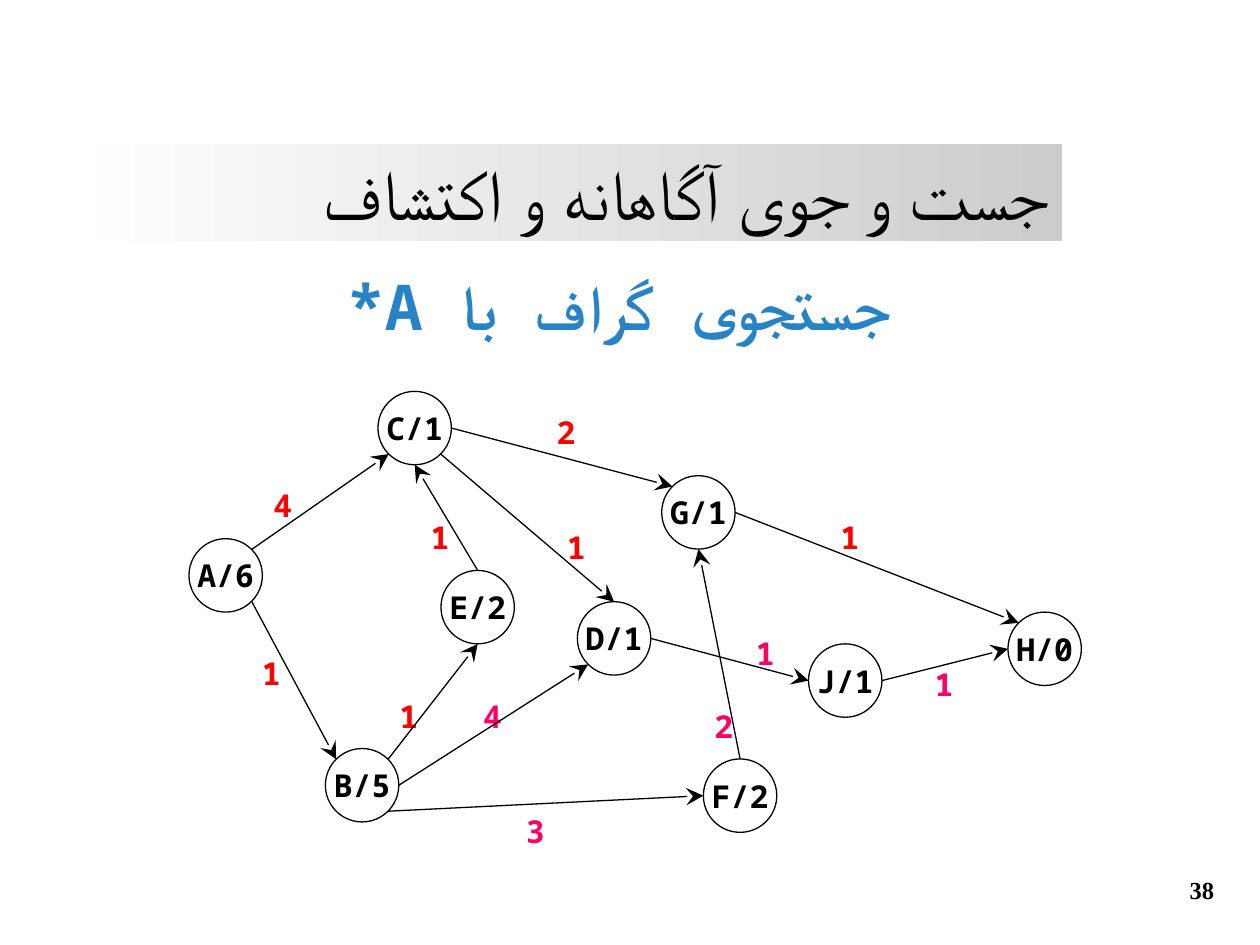
from math import sqrt

from lxml.etree import SubElement
from pptx import Presentation
from pptx.dml.color import RGBColor
from pptx.enum.shapes import MSO_CONNECTOR, MSO_SHAPE
from pptx.enum.text import MSO_ANCHOR, PP_ALIGN
from pptx.oxml.ns import qn
from pptx.util import Cm, Pt

BLACK = RGBColor(0x00, 0x00, 0x00)
WHITE = RGBColor(0xFF, 0xFF, 0xFF)
GRAY = RGBColor(0xCC, 0xCC, 0xCC)
BLUE = RGBColor(0x26, 0x83, 0xC6)
RED = RGBColor(0xFF, 0x00, 0x00)
PINK = RGBColor(0xFF, 0x00, 0x66)

MONO = "Noto Sans Mono"
SERIF = "Times New Roman"

DIAMETER = 1.48
DIAGONAL = sqrt(0.5)
# Directions from the centre of a node to the points where edges meet it
SIDES = {
    "top": (0, -1), "bottom": (0, 1), "left": (-1, 0), "right": (1, 0),
    "top left": (-DIAGONAL, -DIAGONAL), "top right": (DIAGONAL, -DIAGONAL),
    "bottom left": (-DIAGONAL, DIAGONAL), "bottom right": (DIAGONAL, DIAGONAL),
}

# Node text: left and top in cm
NODES = {
    "H/0": (20.32, 12.34), "A/6": (3.81, 10.86), "B/5": (6.56, 15.09),
    "C/1": (7.62, 7.89), "D/1": (11.64, 12.13), "E/2": (8.89, 11.5),
    "F/2": (14.18, 15.3), "G/1": (13.34, 9.59), "J/1": (16.3, 12.98),
}

# From node, its side, to node, its side, cost, cost position in cm, cost colour
EDGES = [
    ("A/6", "bottom right", "B/5", "top left", "1", (5.28, 13.18), RED),
    ("A/6", "top right", "C/1", "bottom left", "4", (5.51, 9.8), RED),
    ("B/5", "right", "D/1", "bottom left", "4", (9.74, 14.05), PINK),
    ("E/2", "top", "C/1", "bottom", "1", (8.68, 10.44), RED),
    ("B/5", "bottom right", "F/2", "left", "3", (10.6, 16.36), PINK),
    ("C/1", "right", "G/1", "top left", "2", (11.22, 8.33), RED),
    ("F/2", "top", "G/1", "bottom", "2", (14.4, 14.25), PINK),
    ("B/5", "top right", "E/2", "bottom", "1", (8.05, 14.05), RED),
    ("C/1", "bottom right", "D/1", "top", "1", (11.43, 10.64), RED),
    ("D/1", "right", "J/1", "left", "1", (15.24, 12.78), PINK),
    ("J/1", "right", "H/0", "left", "1", (18.84, 13.41), PINK),
    ("G/1", "right", "H/0", "top left", "1", (16.94, 10.44), RED),
]


def write_text(box, text, size=18, font=MONO, color=BLACK, bold=True,
               align=PP_ALIGN.CENTER, anchor=MSO_ANCHOR.TOP,
               margins=(0.25, 0.13), wrap=True, rtl=False):
    """Fill a shape with one formatted paragraph; margins are across, down in cm."""
    frame = box.text_frame
    frame.word_wrap = wrap
    frame.vertical_anchor = anchor
    frame.margin_left = frame.margin_right = Cm(margins[0])
    frame.margin_top = frame.margin_bottom = Cm(margins[1])
    para = frame.paragraphs[0]
    para.alignment = align
    if rtl:
        para._p.get_or_add_pPr().set("rtl", "1")
    span = para.add_run()
    span.text = text
    span.font.size = Pt(size)
    span.font.name = font
    span.font.bold = bold
    span.font.color.rgb = color
    SubElement(span._r.get_or_add_rPr(), qn("a:cs"), typeface=font)


def touch_point(node, side):
    left, top = NODES[node]
    across, down = SIDES[side]
    radius = DIAMETER / 2
    return Cm(left + radius + across * radius), Cm(top + radius + down * radius)


class GraphSlide:
    """Style and current slide of the search graph."""

    line_width = Pt(0.75)

    def __init__(self, page):
        self.page = page

    def text(self, text, left, top, width, height, **style):
        box = self.page.shapes.add_textbox(Cm(left), Cm(top), Cm(width), Cm(height))
        write_text(box, text, **style)

    def banner(self, text, left, top, width, height, **style):
        box = self.page.shapes.add_shape(
            MSO_SHAPE.RECTANGLE, Cm(left), Cm(top), Cm(width), Cm(height))
        box.shadow.inherit = False
        box.line.fill.background()
        box.fill.gradient()
        box.fill.gradient_angle = 0
        for stop, color in zip(box.fill.gradient_stops, (WHITE, GRAY)):
            stop.color.rgb = color
        write_text(box, text, **style)

    def node(self, text, left, top):
        circle = self.page.shapes.add_shape(
            MSO_SHAPE.OVAL, Cm(left), Cm(top), Cm(DIAMETER), Cm(DIAMETER))
        circle.shadow.inherit = False
        circle.fill.solid()
        circle.fill.fore_color.rgb = WHITE
        circle.line.color.rgb = BLACK
        circle.line.width = self.line_width
        write_text(circle, text, anchor=MSO_ANCHOR.MIDDLE, wrap=False)

    def arrow(self, start, end):
        edge = self.page.shapes.add_connector(MSO_CONNECTOR.STRAIGHT, *start, *end)
        edge.line.color.rgb = BLACK
        edge.line.width = self.line_width
        SubElement(edge.line._get_or_add_ln(), qn("a:tailEnd"),
                   type="stealth", w="lg", len="lg")
        SubElement(edge._element.spPr, qn("a:effectLst"))

    def cost(self, text, left, top, color):
        self.text(text, left, top, 0.2, 0.76, color=color,
                  align=PP_ALIGN.LEFT, margins=(0, 0))


def main():
    deck = Presentation()
    deck.slide_width, deck.slide_height = Cm(25.4), Cm(19.05)
    graph = GraphSlide(deck.slides.add_slide(deck.slide_layouts[6]))

    graph.text("38", 23.57, 17.42, 1.32, 1.02, size=14, font=SERIF,
               anchor=MSO_ANCHOR.MIDDLE)
    graph.text("جستجوی گراف با A*", 1.68, 5.26, 21.62, 1.78, size=36,
               color=BLUE, rtl=True)
    graph.banner("جست و جوی آگاهانه و اکتشاف", 1.09, 2.9, 20.32, 1.96, size=40,
                 font=SERIF, bold=False, align=PP_ALIGN.RIGHT)

    for *_, cost, position, color in EDGES:
        graph.cost(cost, *position, color)
    for name, position in NODES.items():
        graph.node(name, *position)
    for source, source_side, target, target_side, *_ in EDGES:
        graph.arrow(touch_point(source, source_side),
                    touch_point(target, target_side))

    deck.save("out.pptx")


if __name__ == "__main__":
    main()
